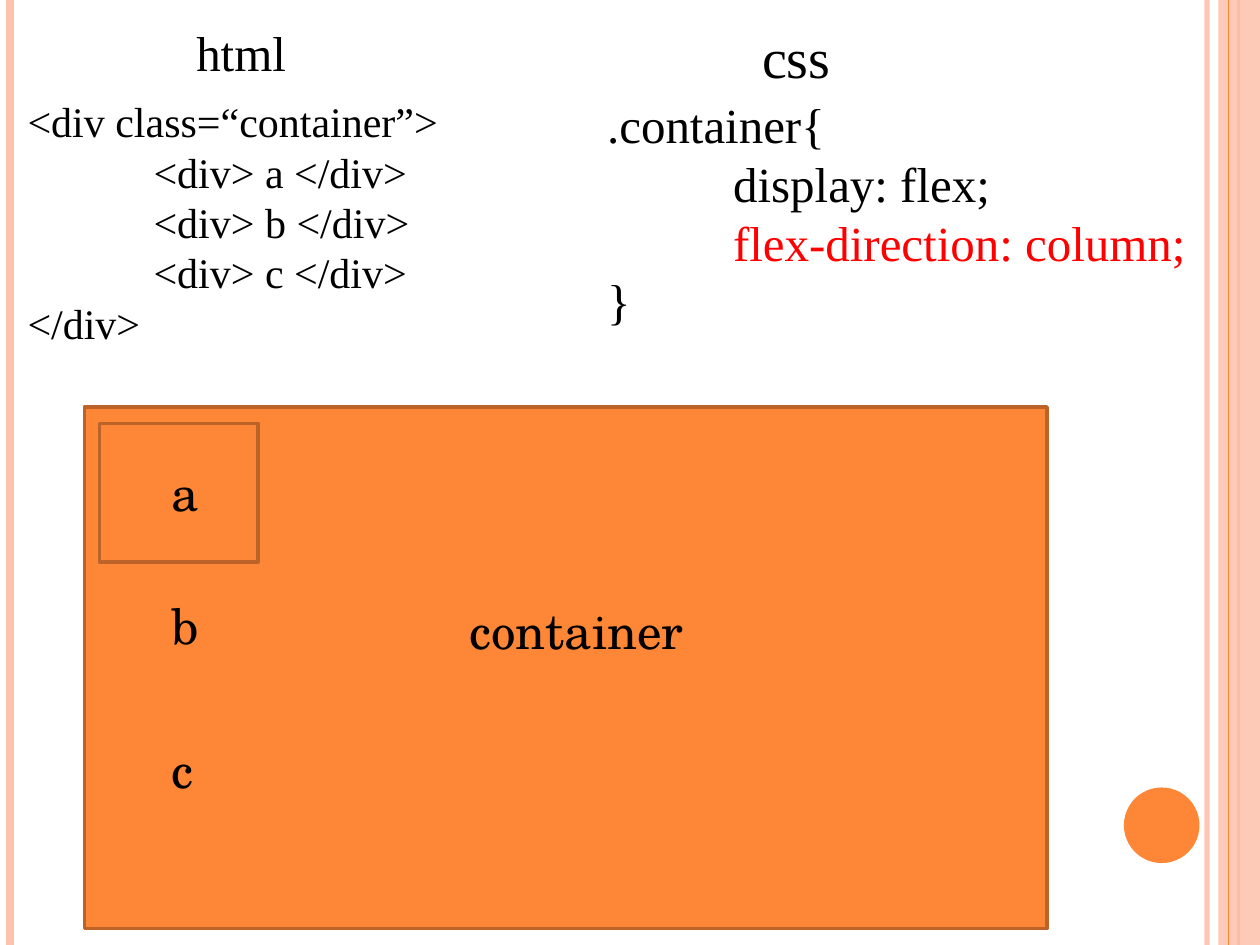
from lxml import etree
from pptx import Presentation
from pptx.dml.color import RGBColor
from pptx.enum.shapes import MSO_CONNECTOR, MSO_SHAPE
from pptx.enum.text import MSO_AUTO_SIZE
from pptx.oxml.ns import qn
from pptx.util import Inches, Pt

RECTANGLE, OVAL = MSO_SHAPE.RECTANGLE, MSO_SHAPE.OVAL
STRAIGHT = MSO_CONNECTOR.STRAIGHT
GROW = MSO_AUTO_SIZE.SHAPE_TO_FIT_TEXT

COLORS = {"orange": "FE8637", "peach": "FEC3AE", "brown": "BC6329",
          "black": "000000", "red": "FF0000"}
SERIF, SCHOOL = "Times New Roman", "TeX Gyre Schola"
PAGE_WIDTH, PAGE_HEIGHT = 10, 7.5

# Content: each line is (text, colour)
HTML_LINES = [
    ("<div class=“container”>", "black"),
    ("\t<div> a </div>", "black"),
    ("\t<div> b </div>", "black"),
    ("\t<div> c </div>", "black"),
    ("</div>", "black"),
]
CSS_LINES = [
    (".container{", "black"),
    ("\tdisplay: flex;", "black"),
    ("\tflex-direction: column;", "red"),
    ("}", "black"),
]
ITEMS = [("a", 3.62), ("b", 4.68), ("c", 5.82)]  # label, top

# Vertical rules: x, colour, width in points, opacity in percent
RULES_BEHIND = [(9.58, "peach", 3, 93), (0.08, "peach", 4.5, 100),
                (9.83, "orange", 1.5, 100)]
RULES_FRONT = [(9.75, "orange", 0.75, 100)]

deck = Presentation()
deck.slide_width, deck.slide_height = Inches(PAGE_WIDTH), Inches(PAGE_HEIGHT)
page = deck.slides.add_slide(deck.slide_layouts[6])


def rgb(name):
    return RGBColor.from_string(COLORS[name])


def set_opacity(element, percent):
    if percent < 100:
        color = element.find(".//" + qn("a:srgbClr"))
        etree.SubElement(color, qn("a:alpha")).set("val", str(percent * 1000))


def add_rule(x, color, width, opacity):
    rule = page.shapes.add_connector(
        STRAIGHT, Inches(x), 0, Inches(x), Inches(PAGE_HEIGHT))
    rule.line.color.rgb = rgb(color)
    rule.line.width = Pt(width)
    properties = rule.line._get_or_add_ln().getparent()
    set_opacity(properties, opacity)
    etree.SubElement(properties, qn("a:effectLst"))


def add_block(kind, left, top, width, height, fill="orange", line=None, opacity=100):
    block = page.shapes.add_shape(
        kind, Inches(left), Inches(top), Inches(width), Inches(height))
    block.shadow.inherit = False
    block.fill.solid()
    block.fill.fore_color.rgb = rgb(fill)
    set_opacity(block.element.spPr, opacity)
    if line:
        block.line.color.rgb = rgb(line)
        block.line.width = Pt(2)
    else:
        block.line.fill.background()


def add_text(lines, left, top, width, height, size=28, font=SERIF):
    if isinstance(lines, str):
        lines = [(lines, "black")]
    box = page.shapes.add_textbox(
        Inches(left), Inches(top), Inches(width), Inches(height))
    frame = box.text_frame
    frame.word_wrap = True
    frame.auto_size = GROW
    for index, (text, color) in enumerate(lines):
        para = frame.paragraphs[0] if index == 0 else frame.add_paragraph()
        if text.startswith("\t"):
            tabs = etree.SubElement(para._p.get_or_add_pPr(), qn("a:tabLst"))
            etree.SubElement(tabs, qn("a:tab"), pos=str(Inches(1)), algn="l")
        span = para.add_run()
        span.text = text
        span.font.size = Pt(size)
        span.font.name = font
        span.font.color.rgb = rgb(color)


# Page decoration
for rule in RULES_BEHIND:
    add_rule(*rule)
add_block(RECTANGLE, 9.67, 0, 0.33, PAGE_HEIGHT, fill="peach", opacity=87)
for rule in RULES_FRONT:
    add_rule(*rule)
add_block(OVAL, 8.92, 6.25, 0.6, 0.6)

# Container and its first item
add_block(RECTANGLE, 0.67, 3.23, 7.64, 4.14, line="brown")
add_block(RECTANGLE, 0.79, 3.36, 1.26, 1.1, line="brown")

# Code listings and their headings
add_text(HTML_LINES, 0.12, 0.71, 4.61, 2.12, size=24)
add_text(CSS_LINES, 4.72, 0.7, 4.92, 1.99)
add_text("html", 1.46, 0.13, 2.2, 0.57)
add_text("css", 5.95, 0.13, 2.2, 0.64, size=32)

# Labels in the container
for label, top in ITEMS:
    add_text(label, 1.26, top, 0.31, 0.57, font=SCHOOL)
add_text("container", 3.63, 4.72, 2.57, 0.57, font=SCHOOL)

deck.save("out.pptx")
